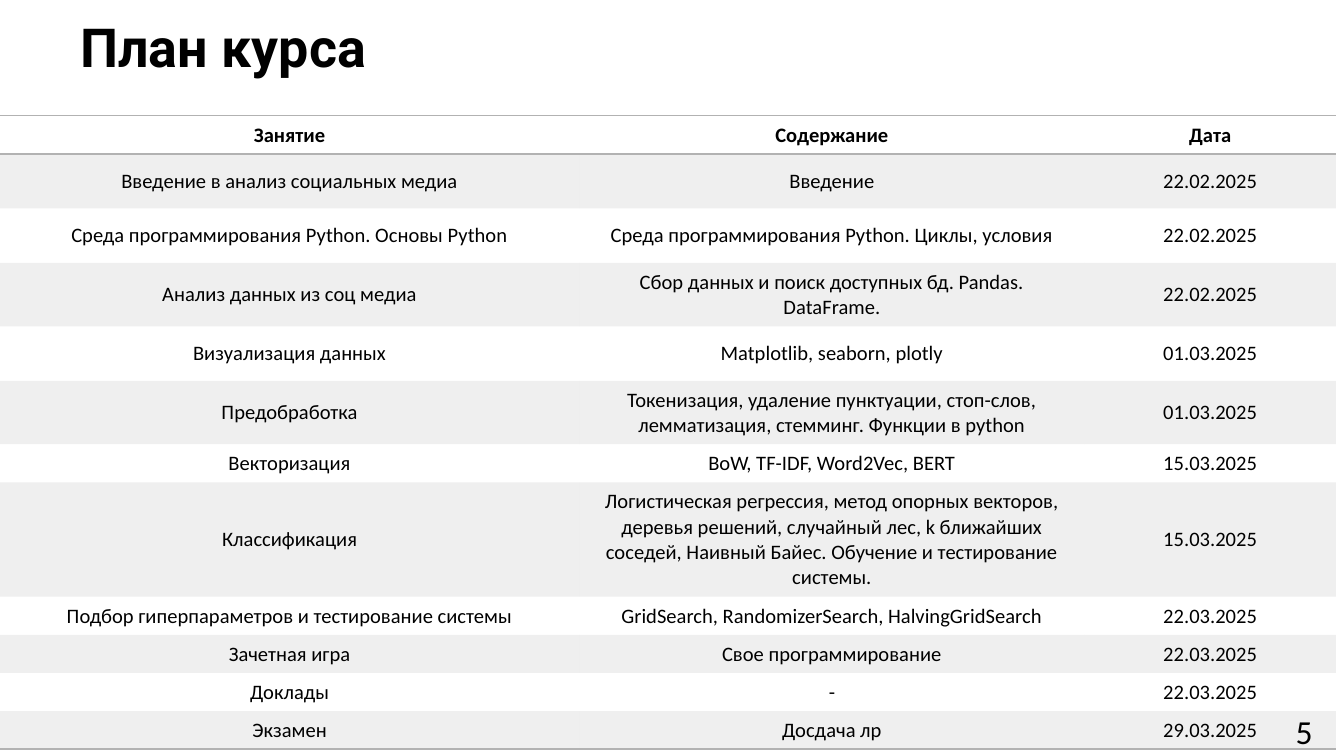
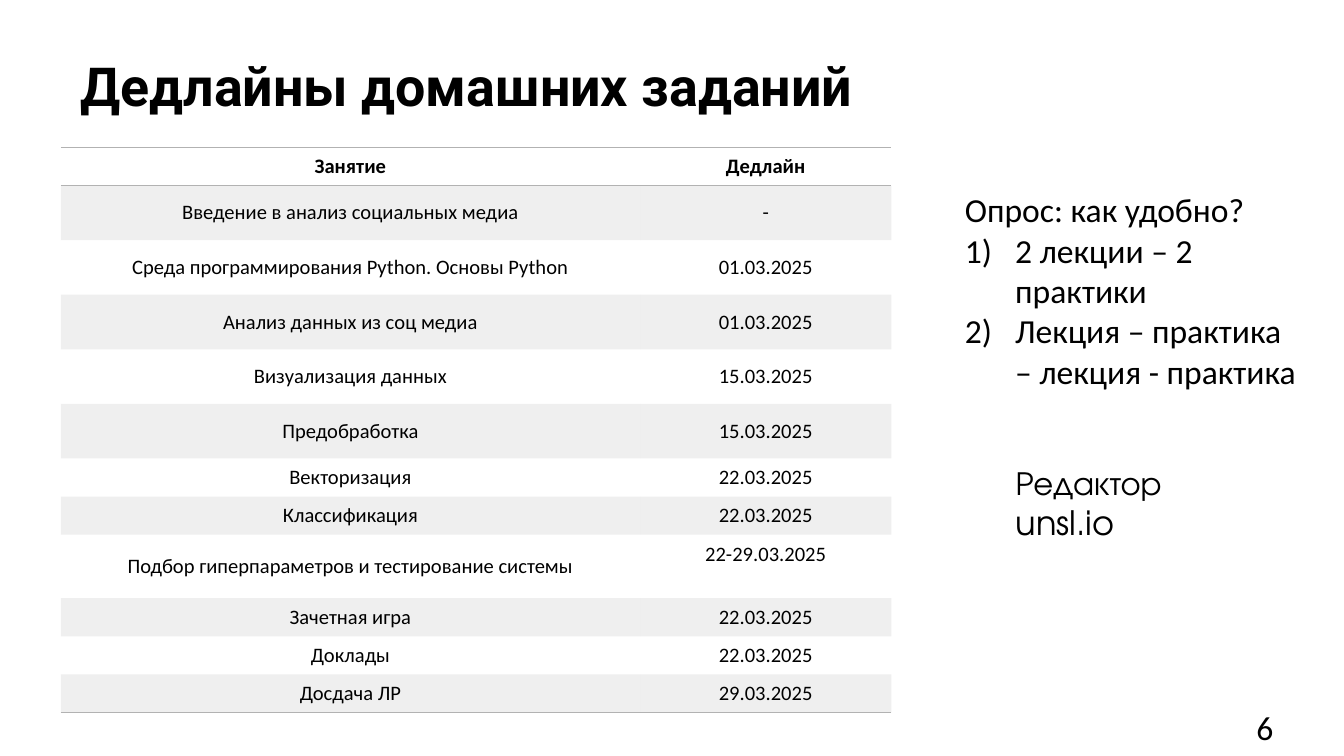
from lxml.etree import SubElement
from pptx import Presentation
from pptx.dml.color import RGBColor
from pptx.enum.text import MSO_ANCHOR, PP_ALIGN
from pptx.oxml.ns import qn
from pptx.util import Pt

BLACK = RGBColor(0x00, 0x00, 0x00)
GRAY = RGBColor(0xB2, 0xB2, 0xB2)
TITLE_FONT = "Roboto"
BODY_FONT = "Calibri"
SERVICE_FONT = "TeX Gyre Adventor"
LESSON_WIDTH, CONTENT_WIDTH, DATE_WIDTH = 310.32, 270.72, 134.64
LINE_ROW, TALL_ROW, TWO_LINE_ROW, FOUR_LINE_ROW = 20.4, 29.25, 34, 61.2

LESSONS = [
    "Введение в анализ социальных медиа",
    "Среда программирования Python. Основы Python",
    "Анализ данных из соц медиа",
    "Визуализация данных",
    "Предобработка",
    "Векторизация",
    "Классификация",
    "Подбор гиперпараметров и тестирование системы",
    "Зачетная игра",
    "Доклады",
]
CONTENTS = [
    "Введение",
    "Среда программирования Python. Циклы, условия",
    "Сбор данных и поиск доступных бд. Pandas. DataFrame.",
    "Matplotlib, seaborn, plotly",
    "Токенизация, удаление пунктуации, стоп-слов, лемматизация, стемминг. Функции в python",
    "BoW, TF-IDF, Word2Vec, BERT",
    "Логистическая регрессия, метод опорных векторов, деревья решений, случайный лес, "
    "k ближайших соседей, Наивный Байес. Обучение и тестирование системы.",
    "GridSearch, RandomizerSearch, HalvingGridSearch",
    "Свое программирование",
    "-",
    "Досдача лр",
]
DATES = (["22.02.2025"] * 3 + ["01.03.2025"] * 2 + ["15.03.2025"] * 2
         + ["22.03.2025"] * 3 + ["29.03.2025"])
DEADLINES = (["-"] + ["01.03.2025"] * 2 + ["15.03.2025"] * 2 + ["22.03.2025"] * 2
             + ["22-29.03.2025"] + ["22.03.2025"] * 2 + ["29.03.2025"])
PLAN_HEIGHTS = [LINE_ROW, TALL_ROW, TALL_ROW, TWO_LINE_ROW, TALL_ROW, TWO_LINE_ROW,
                LINE_ROW, FOUR_LINE_ROW] + [LINE_ROW] * 4
DEADLINE_HEIGHTS = ([LINE_ROW] + [TALL_ROW] * 5 + [LINE_ROW] * 2
                    + [TWO_LINE_ROW] + [LINE_ROW] * 3)


def write_text(frame, text, size=18, font=BODY_FONT, bold=False,
               align=PP_ALIGN.LEFT, numbered_from=None):
    for index, line in enumerate(text.split("\n")):
        paragraph = frame.paragraphs[0] if index == 0 else frame.add_paragraph()
        paragraph.alignment = align
        if numbered_from is not None and index >= numbered_from:
            properties = paragraph._p.get_or_add_pPr()
            properties.set("marL", str(Pt(27)))
            properties.set("indent", str(Pt(-27)))
            SubElement(properties, qn("a:buFont"), typeface="+mj-lt")
            SubElement(properties, qn("a:buAutoNum"), type="arabicParenR")
        run = paragraph.add_run()
        run.text = line
        run.font.size = Pt(size)
        run.font.name = font
        run.font.bold = bold
        run.font.color.rgb = BLACK


def draw_borders(cell, visible_sides):
    properties = cell._tc.get_or_add_tcPr()
    for side in "LRTB":
        line = SubElement(properties, qn(f"a:ln{side}"), w=str(Pt(1)))
        if side in visible_sides:
            fill = SubElement(line, qn("a:solidFill"))
            SubElement(fill, qn("a:srgbClr"), val=str(GRAY))
        else:
            SubElement(line, qn("a:noFill"))


def fill_band(cell, banded):
    if not banded:
        cell.fill.background()
        return
    cell.fill.solid()
    cell.fill.fore_color.rgb = GRAY
    color = cell._tc.tcPr.find(qn("a:solidFill")).find(qn("a:srgbClr"))
    SubElement(color, qn("a:alpha"), val="20000")


class Deck:
    def __init__(self):
        self.presentation = Presentation()
        self.presentation.slide_width = Pt(720)
        self.presentation.slide_height = Pt(405)
        self.slide = None

    def add_slide(self):
        self.slide = self.presentation.slides.add_slide(self.presentation.slide_layouts[6])

    def add_text(self, text, left, top, width, height, anchor=MSO_ANCHOR.TOP, **text_format):
        shape = self.slide.shapes.add_textbox(Pt(left), Pt(top), Pt(width), Pt(height))
        shape.text_frame.word_wrap = True
        shape.text_frame.vertical_anchor = anchor
        write_text(shape.text_frame, text, **text_format)

    def add_title(self, text, top):
        self.add_text(text, 36, top, 537, 42, anchor=MSO_ANCHOR.MIDDLE,
                      size=28.8, font=TITLE_FONT, bold=True)

    def add_page_number(self, number, left, top):
        self.add_text(str(number), left, top, 42.5, 29)

    def add_schedule(self, rows, left, top, widths, heights, top_cells=()):
        table = self.slide.shapes.add_table(
            len(rows), len(widths), Pt(left), Pt(top), Pt(sum(widths)), Pt(sum(heights))).table
        table.horz_banding = False
        for column, width in zip(table.columns, widths):
            column.width = Pt(width)
        last = len(rows) - 1
        for row_index, (values, height) in enumerate(zip(rows, heights)):
            table.rows[row_index].height = Pt(height)
            sides = ("T" if row_index <= 1 else "") + ("B" if row_index in (0, last) else "")
            for column_index, value in enumerate(values):
                cell = table.cell(row_index, column_index)
                in_top = (row_index, column_index) in top_cells
                cell.vertical_anchor = MSO_ANCHOR.TOP if in_top else MSO_ANCHOR.MIDDLE
                draw_borders(cell, sides)
                fill_band(cell, row_index % 2 == 1)
                write_text(cell.text_frame, value, size=11, bold=row_index == 0,
                           align=PP_ALIGN.CENTER)


def build_plan(deck):
    deck.add_slide()
    deck.add_title("План курса", 3.6)
    rows = [("Занятие", "Содержание", "Дата"), *zip(LESSONS + ["Экзамен"], CONTENTS, DATES)]
    deck.add_schedule(rows, 0, 61.9, [LESSON_WIDTH, CONTENT_WIDTH, DATE_WIDTH], PLAN_HEIGHTS)
    deck.add_page_number(5, 687, 377.3)


def build_deadlines(deck):
    deck.add_slide()
    deck.add_title("Дедлайны домашних заданий", 24.5)
    deck.add_page_number(6, 666, 375.1)
    rows = [("Занятие", "Дедлайн"), *zip(LESSONS + ["Досдача ЛР"], DEADLINES)]
    deck.add_schedule(rows, 32.6, 79, [LESSON_WIDTH, DATE_WIDTH], DEADLINE_HEIGHTS,
                      top_cells=[(8, 1)])
    deck.add_text("Опрос: как удобно?\n2 лекции – 2 практики\n"
                  "Лекция – практика – лекция - практика",
                  509.8, 97.9, 192.2, 138.2, numbered_from=1)
    deck.add_text("Редактор\nunsl.io", 537, 244, 165, 51, font=SERVICE_FONT)


def main():
    deck = Deck()
    build_plan(deck)
    build_deadlines(deck)
    deck.presentation.save("out.pptx")


if __name__ == "__main__":
    main()
